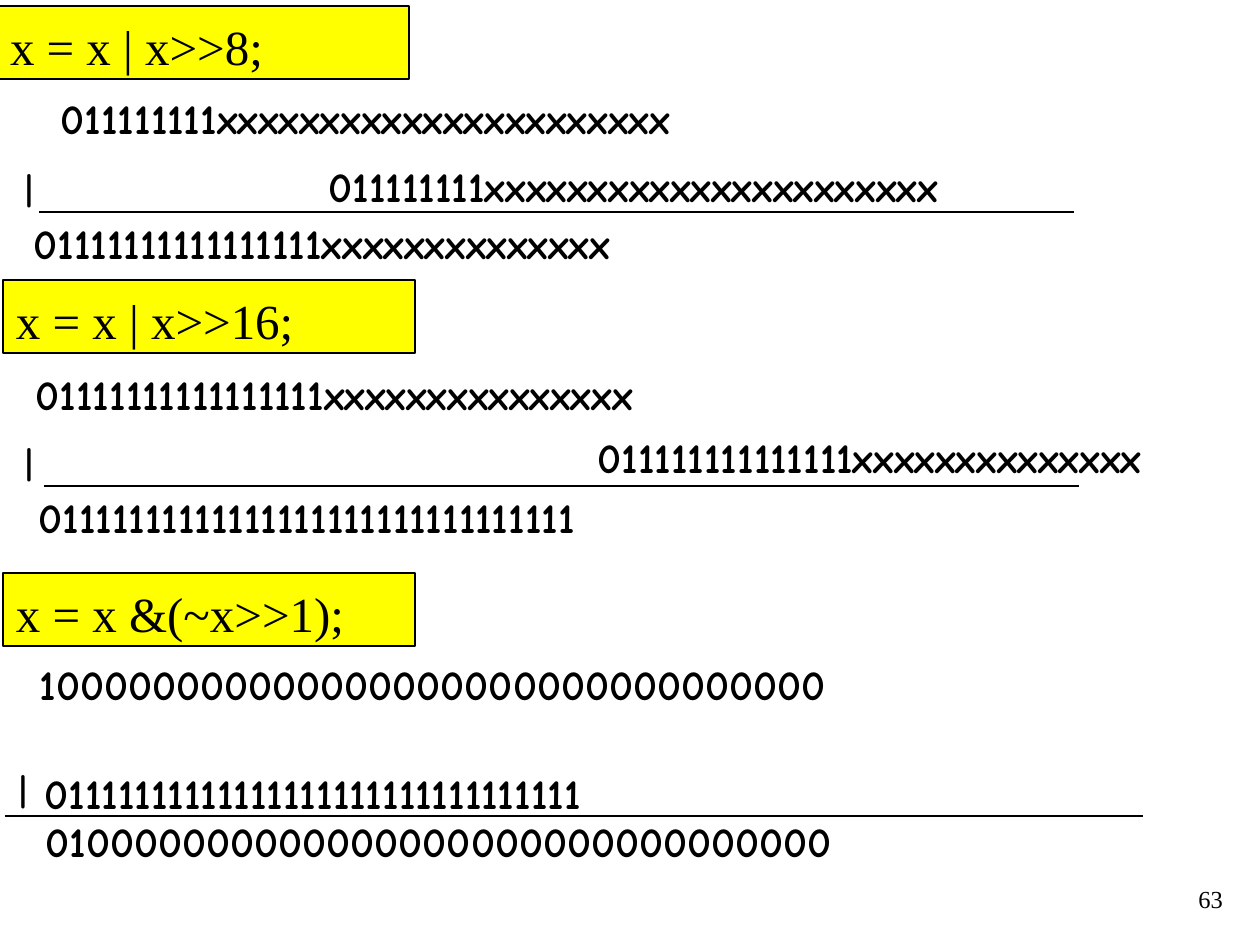
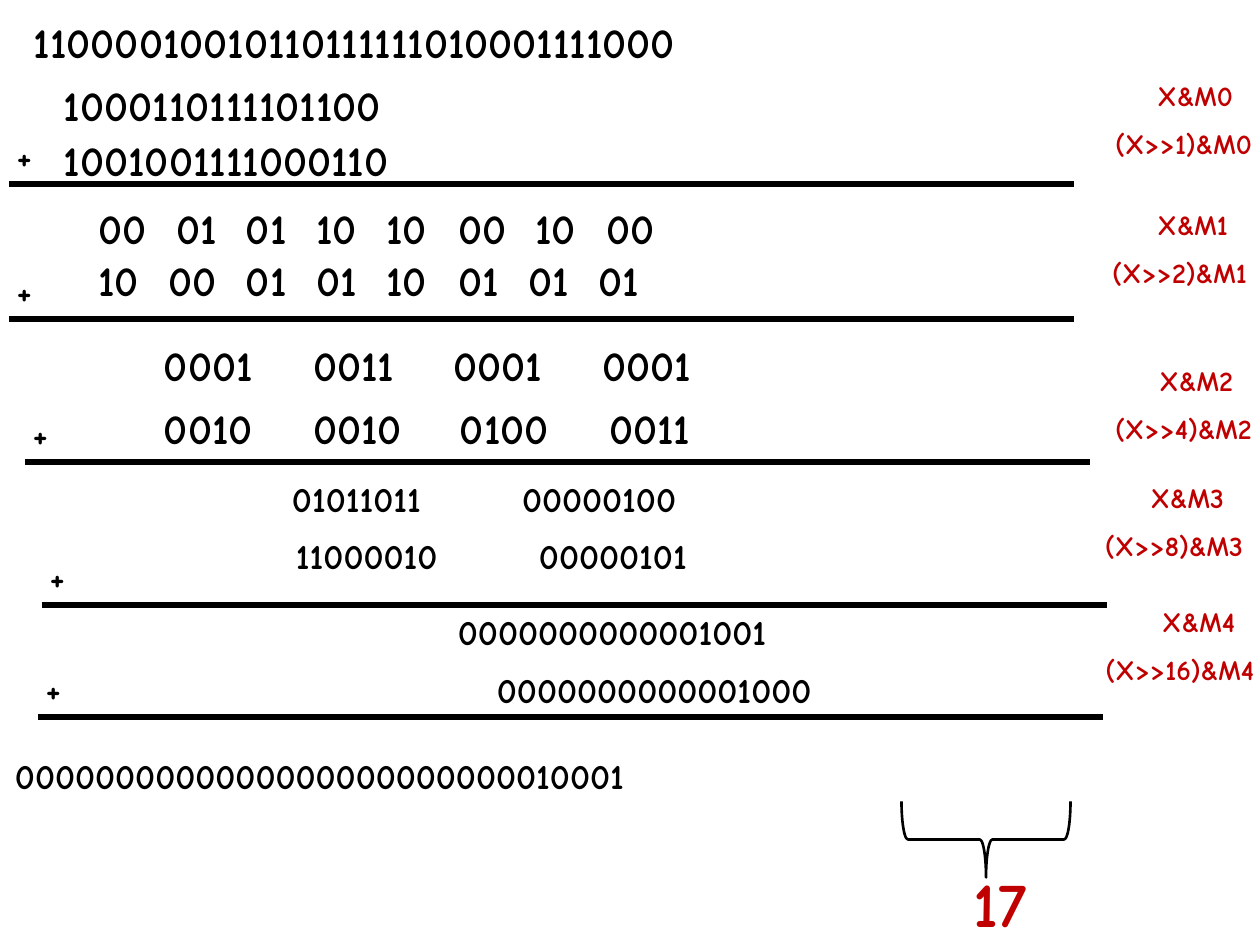
from lxml import etree
from pptx import Presentation
from pptx.dml.color import RGBColor
from pptx.enum.shapes import MSO_CONNECTOR as Connector, MSO_SHAPE as Shape
from pptx.enum.text import MSO_ANCHOR as Anchor, MSO_AUTO_SIZE as AutoSize, PP_ALIGN as Align
from pptx.oxml.ns import qn
from pptx.util import Pt

EMU_PER_PX = 914400 / 126
BLACK, WHITE, YELLOW, RED = "000000", "FFFFFF", "FFFF00", "C00000"
MARGINS = ("margin_left", "margin_top", "margin_right", "margin_bottom")
TIGHT = (6, 6, 6, 6)
BITS_HEIGHT = {24: 64, 20: 55}


def px(length):
    return round(length * EMU_PER_PX)


def color(hex_string):
    return RGBColor.from_string(hex_string)


def set_values(target, values):
    for name, value in values.items():
        setattr(target, name, value)


class Board:
    """Holds the presentation, its style and the slide being drawn."""

    def __init__(self):
        self.presentation = Presentation()
        set_values(self.presentation, {"slide_width": px(1260), "slide_height": px(945)})
        self.digit_font, self.code_font = "Comic Neue", "Times New Roman"

    def new_slide(self):
        self.slide = self.presentation.slides.add_slide(self.presentation.slide_layouts[6])

    def fill_text(self, shape, text, font, size, align, hex_color=BLACK, insets=TIGHT,
                  **frame_format):
        frame = shape.text_frame
        set_values(frame, {name: px(inset) for name, inset in zip(MARGINS, insets)})
        set_values(frame, {"word_wrap": True, **frame_format})
        paragraph = frame.paragraphs[0]
        paragraph.alignment = align
        run = paragraph.add_run()
        run.text = text
        set_values(run.font, {"name": font, "size": Pt(size), "bold": font == self.digit_font})
        run.font.color.rgb = color(hex_color)
        return paragraph

    def text(self, box, *args, **kwargs):
        shape = self.slide.shapes.add_textbox(*map(px, box))
        return self.fill_text(shape, *args, **kwargs)

    def bits(self, left, top, width, digits, size=24, stops=()):
        """Row of digits; stops are the starts of the later tabbed groups."""
        paragraph = self.text((left, top, width, BITS_HEIGHT[size]), digits, self.digit_font,
                              size, Align.JUSTIFY, auto_size=AutoSize.SHAPE_TO_FIT_TEXT)
        if stops:
            properties = paragraph._p.get_or_add_pPr()
            tabs = etree.SubElement(properties, qn("a:tabLst"))
            for stop in stops:
                etree.SubElement(tabs, qn("a:tab"), pos=str(px(stop)), algn="l")

    def label(self, right, top, width, height, text, size, hex_color=BLACK):
        """Single line of text that ends at the right edge."""
        self.text((right - width, top, width, height), text, self.digit_font, size, Align.RIGHT,
                  hex_color, word_wrap=False, auto_size=AutoSize.SHAPE_TO_FIT_TEXT)

    def shape(self, kind, box, fill, line_width):
        shape = self.slide.shapes.add_shape(kind, *map(px, box))
        shape.shadow.inherit = False
        shape.fill.solid()
        shape.fill.fore_color.rgb = color(fill)
        shape.line.color.rgb = color(BLACK)
        shape.line.width = Pt(line_width)
        return shape

    def statement(self, left, top, code):
        shape = self.shape(Shape.RECTANGLE, (left, top, 412, 73), YELLOW, 0.75)
        self.fill_text(shape, code, self.code_font, 28, Align.LEFT,
                       insets=(13, 6, 13, 0), vertical_anchor=Anchor.MIDDLE)

    def rule(self, left, top, length, width):
        ends = map(px, (left, top, left + length, top))
        line = self.slide.shapes.add_connector(Connector.STRAIGHT, *ends)
        line.line.color.rgb = color(BLACK)
        line.line.width = Pt(width)
        etree.SubElement(line._element.spPr, qn("a:effectLst"))

    def page_number(self, number):
        self.text((1057, 878, 179, 63), number, self.code_font, 14, Align.RIGHT,
                  insets=(13, 6, 13, 6))


def smear_bits_slide(board):
    board.new_slide()
    board.page_number("63")
    for left, top, code in (
        (-3, 6, "x = x | x>>8;"),
        (3, 280, "x = x | x>>16;"),
        (3, 573, "x = x &(~x>>1);"),
    ):
        board.statement(left, top, code)
    for left, top, length in ((39, 212, 1035), (44, 486, 1035), (5, 816, 1138)):
        board.rule(left, top, length, 0.75)
    for left, top, width, digits in (
        (55, 87, 1056, "011111111xxxxxxxxxxxxxxxxxxxxxx"),
        (323, 155, 1056, "011111111xxxxxxxxxxxxxxxxxxxxxx"),
        (28, 212, 1106, "01111111111111111xxxxxxxxxxxxxx"),
        (30, 363, 1106, "01111111111111111xxxxxxxxxxxxxxx"),
        (592, 426, 1034, "011111111111111xxxxxxxxxxxxxx"),
        (33, 486, 1106, "01111111111111111111111111111111"),
        (34, 653, 1106, "100000000000000000000000000000000"),
        (39, 762, 1106, "01111111111111111111111111111111"),
        (40, 810, 1106, "010000000000000000000000000000000"),
    ):
        board.bits(left, top, width, digits)
    for right, top in ((39, 161), (39, 435), (33, 762)):
        board.label(right, top, 29, 55, "|", 20)


def count_bits_slide(board):
    board.new_slide()
    for row in (
        (28, 11, 1022, "11000010010110111111010001111000"),
        (58, 74, 997, "1000110111101100"),
        (58, 129, 997, "1001001111000110"),
        (92, 197, 963, "00\t01\t01\t10\t10\t00\t10\t00", 24, (78, 148, 218, 288, 360, 437, 508)),
        (92, 249, 963, "10\t00\t01\t01\t10\t01\t01\t01", 24, (70, 148, 218, 288, 360, 430, 500)),
        (158, 334, 903, "0001\t0011\t0001\t0001", 24, (149, 289, 438)),
        (158, 397, 903, "0010\t0010\t0100\t0011", 24, (149, 296, 445)),
        (286, 471, 762, "01011011\t00000100", 20, (230,)),
        (290, 528, 769, "11000010\t00000101", 20, (243,)),
        (452, 604, 618, "0000000000001001", 20),
        (491, 662, 578, "0000000000001000", 20),
        (9, 748, 1065, "0000000000000000000000000010001", 20),
    ):
        board.bits(*row)
    for left, top in ((9, 184), (9, 319), (25, 462), (42, 605), (38, 717)):
        board.rule(left, top, 1065, 3)
        board.label(left + 29, top - 56, 35, 55, "+", 20)
    mask_corners = ((1239, 73), (1234, 202), (1239, 358), (1230, 475), (1241, 599))
    for step, (right, top) in enumerate(mask_corners):
        board.label(right, top, 95, 48, f"X&M{step}", 16, RED)
        shift = f"(X>>{2 ** step})&M{step}"
        board.label(right + 19, top + 48, 168 if step < 4 else 184, 48, shift, 16, RED)
    brace = board.shape(Shape.RIGHT_BRACE, (948, 755, 76, 169), WHITE, 1.5)
    brace.rotation = 90
    board.label(1033, 859, 95, 89, "17", 36, RED)


def main():
    board = Board()
    smear_bits_slide(board)
    count_bits_slide(board)
    board.presentation.save("out.pptx")


if __name__ == "__main__":
    main()
